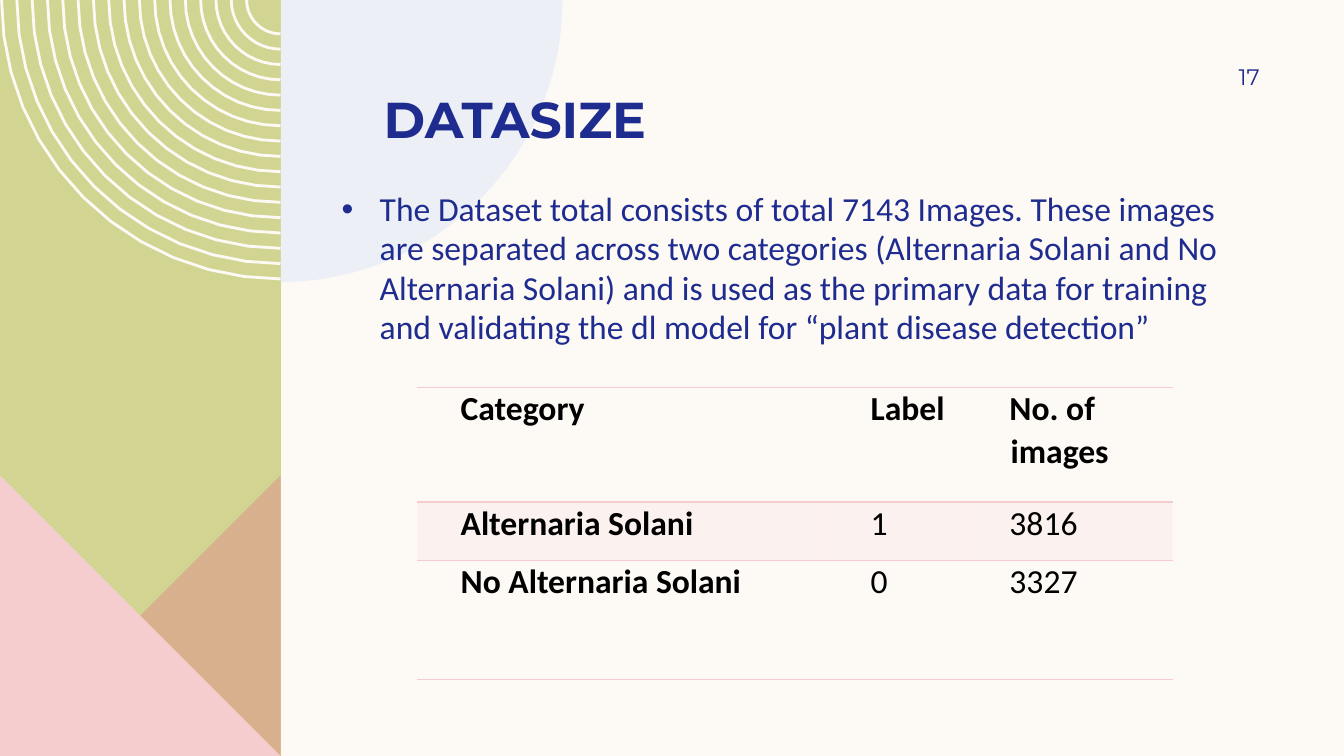
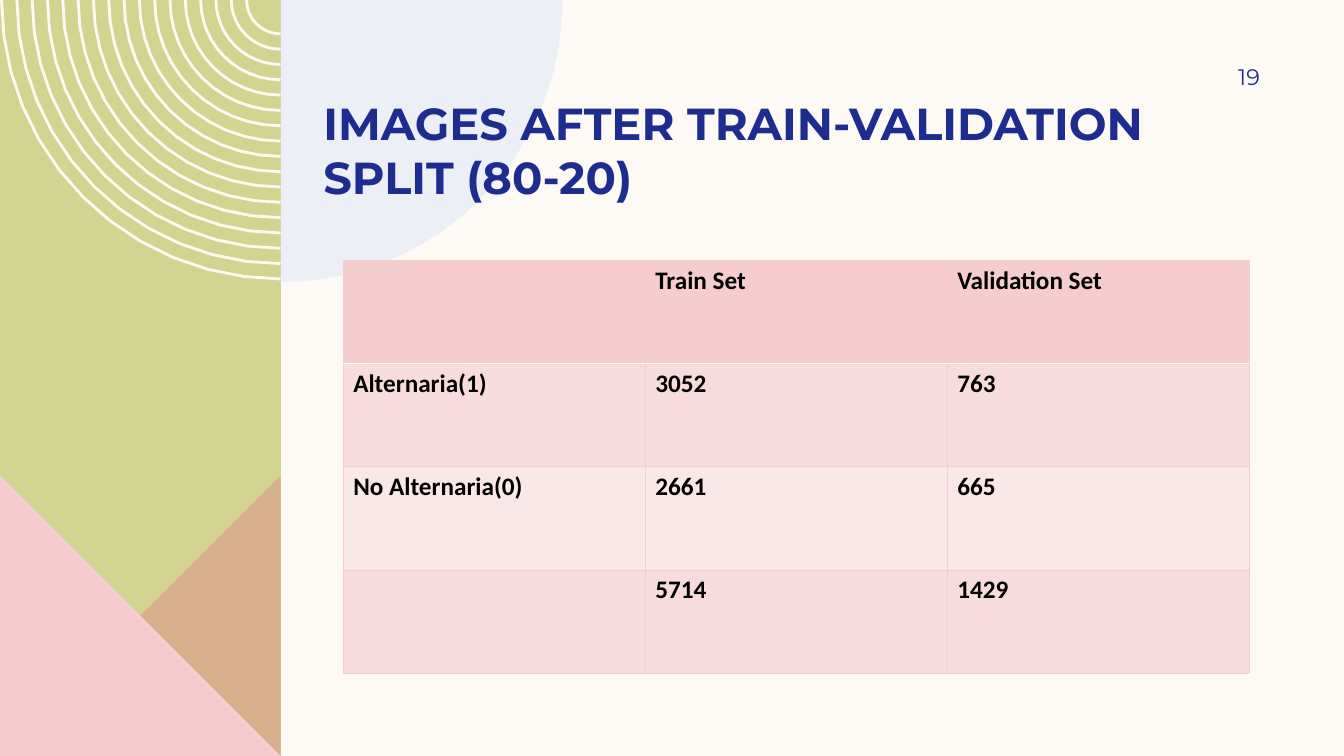
from dataclasses import dataclass
from math import cos, pi, sin

from lxml import etree
from pptx import Presentation
from pptx.dml.color import RGBColor
from pptx.enum.text import MSO_ANCHOR, PP_ALIGN
from pptx.oxml.ns import qn
from pptx.util import Cm, Pt

TOP, MIDDLE, BOTTOM = MSO_ANCHOR.TOP, MSO_ANCHOR.MIDDLE, MSO_ANCHOR.BOTTOM
LEFT, RIGHT = PP_ALIGN.LEFT, PP_ALIGN.RIGHT
PLAIN_TABLE = "{2D5ABB26-0587-4C30-8999-92F81FD0307C}"


@dataclass(frozen=True)
class Theme:
    cream: str = "FDFAF6"
    green: str = "D2D592"
    rose: str = "DE8C8C"
    pink: str = "F5CDCE"
    band_dark: str = "F8DCDD"
    band_light: str = "FAE8E8"
    sky: str = "DDE7F6"
    navy: str = "1F2C8F"
    black: str = "000000"
    heading: str = "Montserrat"
    body: str = "Calibri"
    title_size: int = 36
    long_title_size: int = 32
    body_size: int = 24
    table_size: int = 18
    number_size: int = 16


T = Theme()
WIDTH, HEIGHT = 33.87, 19.05
PANEL = 7.07  # width of the left panel, and radius of the quarter circles


# Shared helpers; lengths are in centimetres
def set_fill(fill, props, color, alpha=None):
    fill.solid()
    fill.fore_color.rgb = RGBColor.from_string(color)
    if alpha is not None:
        clr = props.find(qn("a:solidFill")).find(qn("a:srgbClr"))
        etree.SubElement(clr, qn("a:alpha"), val=str(alpha * 1000))


def style_runs(p, size, color, font, bold=False):
    for r in p.runs:
        r.font.size = Pt(size)
        r.font.name = font
        r.font.bold = bold
        r.font.color.rgb = RGBColor.from_string(color)


def add_text(slide, box, text, size, font, bold=False, anchor=TOP, align=LEFT,
             right_inset=0.25):
    s = slide.shapes.add_textbox(*map(Cm, box))
    tf = s.text_frame
    tf.word_wrap = True
    tf.vertical_anchor = anchor
    tf.margin_left, tf.margin_right = Cm(0.25), Cm(right_inset)
    tf.margin_top = tf.margin_bottom = 0
    p = tf.paragraphs[0]
    p.text = text
    p.alignment = align
    style_runs(p, size, T.navy, font, bold)
    return p


def draw_paths(slide, paths, close):
    paths = [[(Cm(x), Cm(y)) for x, y in points] for points in paths]
    builder = slide.shapes.build_freeform(*paths[0][0], scale=1.0)
    for i, points in enumerate(paths):
        if i:
            builder.move_to(*points[0])
        builder.add_line_segments(points[1:], close=close)
    s = builder.convert_to_shape()
    s.shadow.inherit = False
    return s


def add_outline(slide, points, color, alpha=None):
    s = draw_paths(slide, [points], close=True)
    s.line.fill.background()
    set_fill(s.fill, s._element.spPr, color, alpha)


def add_strokes(slide, paths, color, width):
    s = draw_paths(slide, paths, close=False)
    s.fill.background()
    s.line.color.rgb = RGBColor.from_string(color)
    s.line.width = Pt(width)


def arc(cx, cy, radius, start, end, steps=12):
    angles = [start + (end - start) * i / steps for i in range(steps + 1)]
    return [(cx + radius * cos(a), cy + radius * sin(a)) for a in angles]


def set_borders(cell, **edges):
    """Each edge (L, R, T, B) is a (colour, points) pair."""
    props = cell._tc.get_or_add_tcPr()
    for side in "LRTB":
        if side in edges:
            color, width = edges[side]
            ln = etree.SubElement(props, qn(f"a:ln{side}"), w=str(Pt(width)))
            fill = etree.SubElement(ln, qn("a:solidFill"))
            etree.SubElement(fill, qn("a:srgbClr"), val=color)


def add_grid(slide, left, top, col_widths, row_heights):
    frame = slide.shapes.add_table(
        len(row_heights), len(col_widths), Cm(left), Cm(top),
        Cm(sum(col_widths)), Cm(sum(row_heights)))
    table = frame.table
    table.first_row = table.horz_banding = False
    frame._element.find(".//" + qn("a:tableStyleId")).text = PLAIN_TABLE
    for col, width in zip(table.columns, col_widths):
        col.width = Cm(width)
    for row, height in zip(table.rows, row_heights):
        row.height = Cm(height)
    return table


# Regions
def add_panel(slide, left, width, height):
    right, triangle_top = left + width, height - width
    # Green panel
    add_outline(slide, [(left, 0), (right, 0), (right, height),
                        (left, height)], T.green)
    # Concentric rings
    add_strokes(slide, [arc(right, 0, width - 0.04 - 0.386 * i, pi / 2, pi)
                        for i in range(17)], T.cream, 2)
    # Triangles at the foot
    add_outline(slide, [(right, triangle_top), (right, height),
                        (left, height)], T.rose, 50)
    add_outline(slide, [(left, triangle_top), (right, height),
                        (left, height)], T.pink)
    # Pale quarter circle beside the panel
    add_outline(slide, [(right, 0)] + arc(right, 0, width + 0.04, 0, pi / 2, 24),
                T.sky, 50)


def add_base(prs, title, title_box, title_size, number):
    slide = prs.slides.add_slide(prs.slide_layouts[6])
    add_panel(slide, 0, PANEL, HEIGHT)
    add_text(slide, title_box, title, title_size, T.heading, bold=True,
             anchor=BOTTOM)
    add_text(slide, (28.78, 1.27, 2.97, 1.32), number, T.number_size,
             T.heading, anchor=MIDDLE, align=RIGHT, right_inset=0)
    return slide


def add_bullet(slide, box, text):
    p = add_text(slide, box, text, T.body_size, T.body)
    props = p._p.get_or_add_pPr()
    props.set("marL", str(Cm(0.96)))
    props.set("indent", str(-Cm(0.96)))
    etree.SubElement(props, qn("a:buFont"), typeface="Arial")
    etree.SubElement(props, qn("a:buChar"), char="•")
    p.line_spacing = 0.98


def add_category_table(slide, left, top):
    rows = [("Category", "Label", "No. of images"),
            ("Alternaria Solani", "1", "3816"),
            ("No Alternaria Solani", "0", "3327")]
    table = add_grid(slide, left, top, (10.33, 3.5, 5.2), (2.88, 1.47, 3))
    rule = (T.pink, 1)
    edges = [{"T": rule, "B": rule}, {"T": rule}, {"B": rule}]
    for i, row in enumerate(rows):
        for j, text in enumerate(row):
            cell = table.cell(i, j)
            cell.margin_left = cell.margin_right = Cm(0.18)
            cell.margin_top = cell.margin_bottom = 0
            set_borders(cell, **edges[i])
            if i == 1:
                set_fill(cell.fill, cell._tc.tcPr, T.pink, 20)
            else:
                cell.fill.background()
            p = cell.text_frame.paragraphs[0]
            p.text = text
            p.line_spacing = 1.03
            p.space_after = Pt(6)
            props = p._p.get_or_add_pPr()
            props.set("marL", str(Cm(0.94)))
            props.set("indent", str(-Cm(0.03)))
            style_runs(p, T.body_size, T.black, T.body, i == 0 or j == 0)


def add_split_table(slide, left, top):
    rows = [("", "Train Set", "Validation Set"),
            ("Alternaria(1)", "3052", "763"),
            ("No Alternaria(0)", "2661", "665"),
            ("", "5714", "1429")]
    fills = (T.pink, T.band_dark, T.band_light, T.band_dark)
    table = add_grid(slide, left, top, [7.61] * 3, [2.6] * 4)
    thin, header_rule = (T.pink, 0.5), (T.cream, 1)
    for i, row in enumerate(rows):
        for j, text in enumerate(row):
            cell = table.cell(i, j)
            set_borders(cell, L=thin, R=thin,
                        T=header_rule if i == 1 else thin,
                        B=header_rule if i == 0 else thin)
            set_fill(cell.fill, cell._tc.tcPr, fills[i])
            if text:
                p = cell.text_frame.paragraphs[0]
                p.text = text
                style_runs(p, T.table_size, T.black, T.body, True)


# Slides
def datasize_slide(prs):
    slide = add_base(prs, "DATASIZE", (9.42, 0.97, 22.12, 2.77),
                     T.title_size, "17")
    add_bullet(slide, (8.36, 4.78, 23.39, 4.5),
               "The Dataset total consists of total 7143 Images. These images "
               "are separated across two categories (Alternaria Solani and No "
               "Alternaria Solani) and is used as the primary data for "
               "training and validating the dl model for “plant disease "
               "detection”")
    add_category_table(slide, 10.52, 9.77)


def split_slide(prs):
    slide = add_base(prs, "IMAGES AFTER TRAIN-VALIDATION SPLIT (80-20)",
                     (7.9, 2.36, 24.05, 2.77), T.long_title_size, "19")
    add_split_table(slide, 8.65, 6.56)


def main():
    prs = Presentation()
    prs.slide_width, prs.slide_height = Cm(WIDTH), Cm(HEIGHT)
    fill = prs.slide_master.background.fill
    fill.solid()
    fill.fore_color.rgb = RGBColor.from_string(T.cream)
    datasize_slide(prs)
    split_slide(prs)
    prs.save("out.pptx")


if __name__ == "__main__":
    main()
